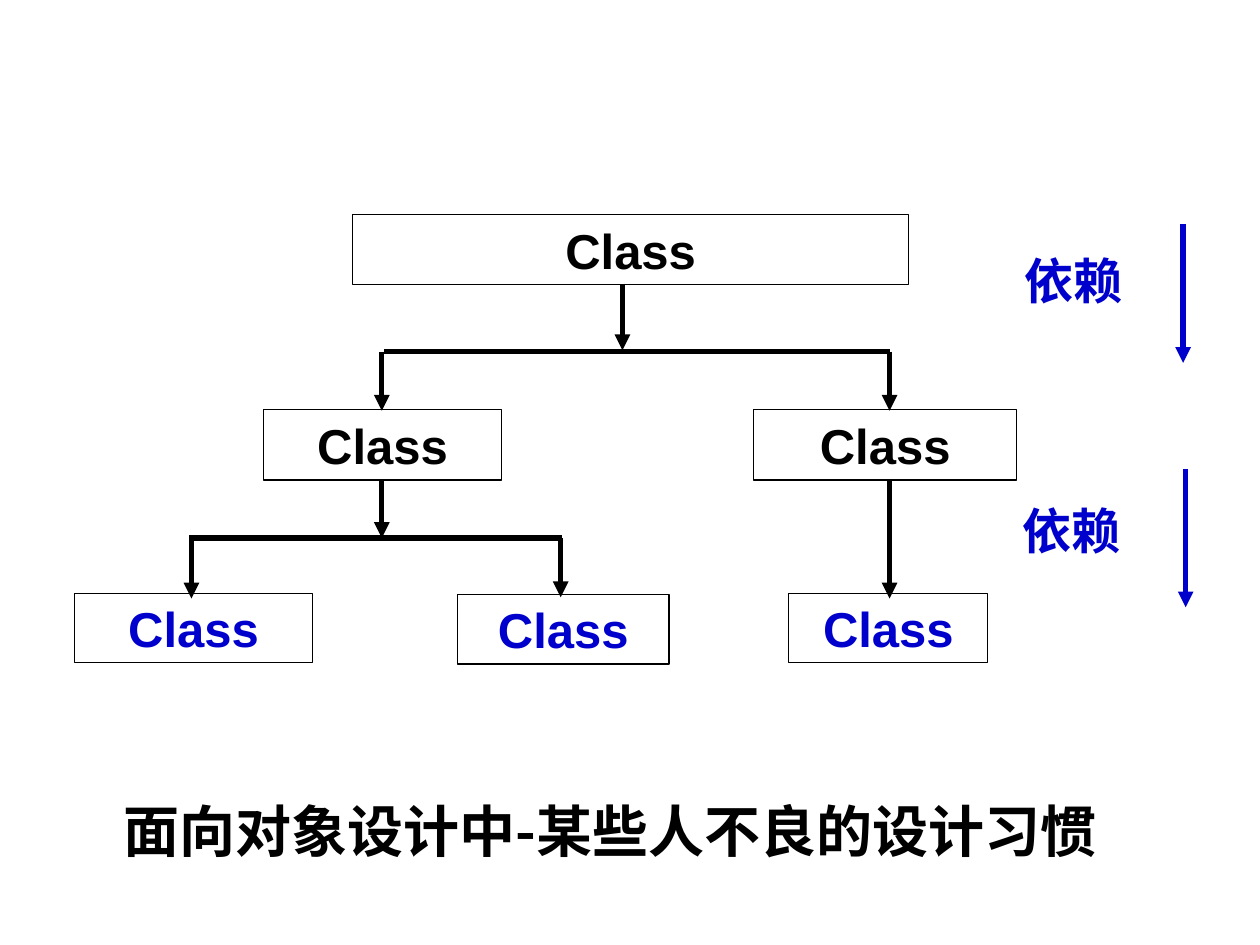
from pptx import Presentation
from pptx.dml.color import RGBColor
from pptx.enum.shapes import MSO_CONNECTOR as Connector, MSO_SHAPE as Shape
from pptx.enum.text import MSO_ANCHOR as Anchor, MSO_AUTO_SIZE as AutoSize, PP_ALIGN as Align
from pptx.oxml.ns import qn
from pptx.util import Inches, Pt
from lxml.etree import SubElement

BLACK, BLUE, WHITE = "000000", "0000CC", "FFFFFF"
LATIN, CHINESE = "Arial", "Noto Sans CJK SC"


def color(value):
    return RGBColor.from_string(value)


class Diagram:
    def __init__(self, slide):
        self.slide = slide
        self.size = 28
        self.thin, self.thick = 0.75, 3

    def add_text(self, frame, text, ink, font, size, align):
        frame.word_wrap = True
        frame.auto_size = AutoSize.NONE
        para = frame.paragraphs[0]
        para.alignment = align
        span = para.add_run()
        span.text = text
        span.font.size = Pt(size)
        span.font.bold = True
        span.font.name = font
        span.font.color.rgb = color(ink)
        SubElement(span.font._element, qn("a:ea")).set("typeface", font)

    def title(self, text, left, top, width, height):
        box = self.slide.shapes.title
        box.left, box.top = Inches(left), Inches(top)
        box.width, box.height = Inches(width), Inches(height)
        box.text_frame.vertical_anchor = Anchor.TOP
        self.add_text(box.text_frame, text, BLACK, CHINESE, 32, Align.CENTER)

    def class_box(self, left, top, width, height, ink, inset):
        box = self.slide.shapes.add_shape(
            Shape.RECTANGLE, Inches(left), Inches(top), Inches(width), Inches(height))
        box.shadow.inherit = False
        box.fill.solid()
        box.fill.fore_color.rgb = color(WHITE)
        box.line.color.rgb = color(BLACK)
        box.line.width = Pt(self.thin)
        frame = box.text_frame
        frame.margin_left = frame.margin_right = Inches(inset)
        frame.margin_top = frame.margin_bottom = Inches(0.04)
        frame.vertical_anchor = Anchor.MIDDLE
        self.add_text(frame, "Class", ink, LATIN, self.size, Align.CENTER)

    def label(self, text, left, top):
        box = self.slide.shapes.add_textbox(
            Inches(left), Inches(top), Inches(1.3), Inches(0.57))
        self.add_text(box.text_frame, text, BLUE, CHINESE, self.size, Align.LEFT)

    def line(self, x1, y1, x2, y2, ink=BLACK):
        line = self.slide.shapes.add_connector(
            Connector.STRAIGHT, Inches(x1), Inches(y1), Inches(x2), Inches(y2))
        line.line.color.rgb = color(ink)
        line.line.width = Pt(self.thick)
        SubElement(line._element.spPr, qn("a:effectLst"))
        return line

    def down_arrow(self, x, top, bottom, ink=BLACK):
        arrow = self.line(x, top, x, bottom, ink)
        outline = arrow._element.spPr.find(qn("a:ln"))
        SubElement(outline, qn("a:tailEnd")).set("type", "triangle")


def main():
    deck = Presentation()
    deck.slide_width, deck.slide_height = Inches(10), Inches(7.5)
    page = deck.slides.add_slide(deck.slide_layouts[5])
    diagram = Diagram(page)

    for left, top, width in [(2.8, 1.7, 4.41), (2.09, 3.25, 1.89), (5.98, 3.25, 2.09)]:
        diagram.class_box(left, top, width, 0.56, BLACK, 0.02)
    for left, top, width in [(0.59, 4.71, 1.89), (3.63, 4.72, 1.68), (6.26, 4.71, 1.58)]:
        diagram.class_box(left, top, width, 0.55, BLUE, 0.07)

    for left, right, y in [(3.05, 7.06, 2.79), (1.5, 4.46, 4.27)]:
        diagram.line(left, y, right, y)
    for x, top, bottom in [
        (4.94, 2.25, 2.78), (3.03, 2.79, 3.26), (7.06, 2.79, 3.26),
        (3.03, 3.8, 4.27), (1.52, 4.28, 4.75), (4.45, 4.27, 4.74), (7.06, 3.8, 4.75),
    ]:
        diagram.down_arrow(x, top, bottom)

    for left, top, arrow_x, arrow_top in [(8.03, 1.94, 9.39, 1.78), (8.02, 3.92, 9.41, 3.72)]:
        diagram.label("依赖", left, top)
        diagram.down_arrow(arrow_x, arrow_top, arrow_top + 1.1, BLUE)

    diagram.title("面向对象设计中-某些人不良的设计习惯", 0.83, 6.27, 8.03, 0.63)
    deck.save("out.pptx")


if __name__ == "__main__":
    main()
